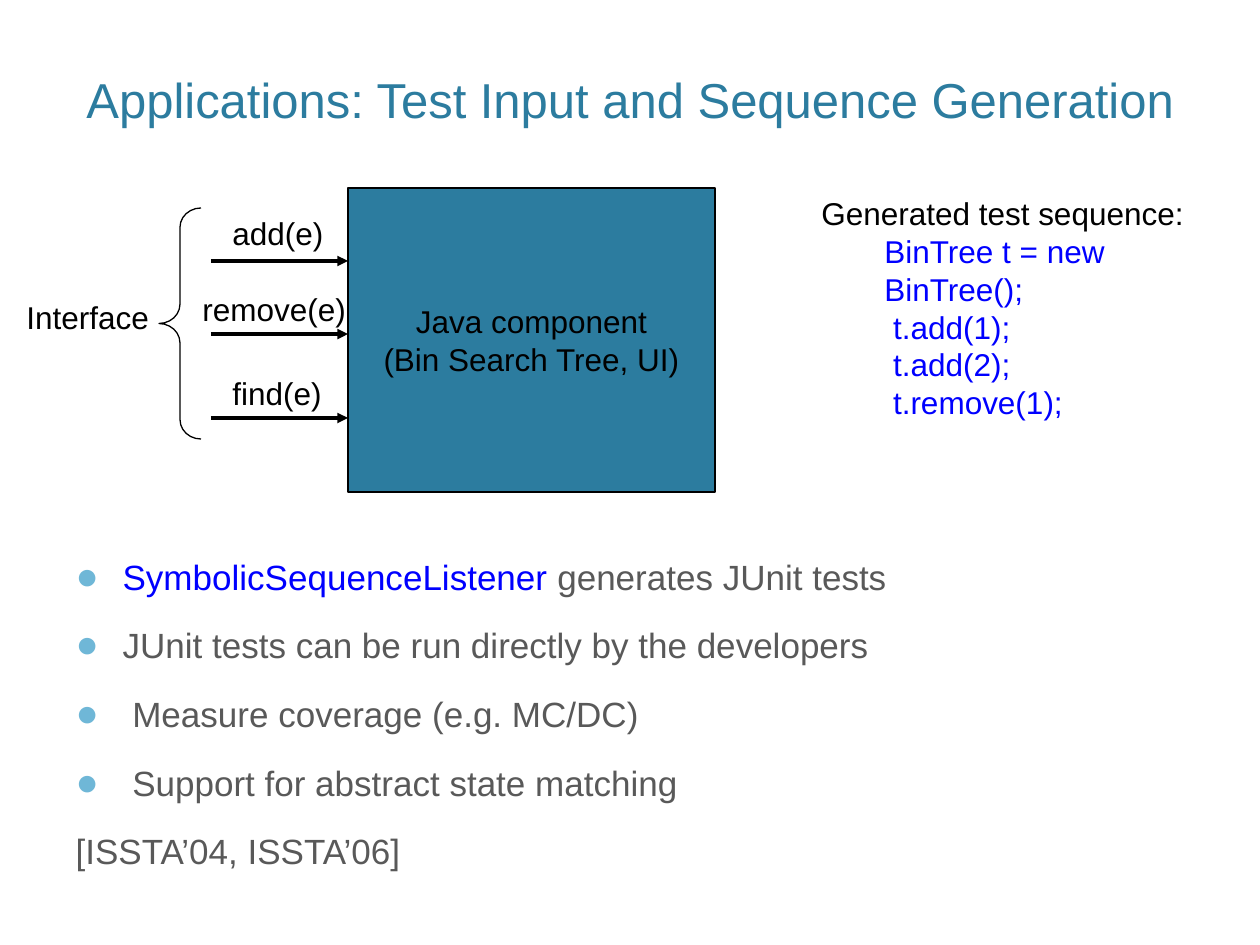
import pptx
import pptx.util
from pptx.dml.color import RGBColor
from pptx.enum.shapes import MSO_CONNECTOR, MSO_SHAPE
from pptx.enum.text import MSO_ANCHOR, MSO_AUTO_SIZE, PP_ALIGN
from pptx.oxml.ns import qn
from lxml import etree

PX = 914400 / 126
FONT = "Arial"
TEAL = RGBColor(0x2C, 0x7C, 0x9F)
SKY = RGBColor(0x6F, 0xB7, 0xD7)
BLACK = RGBColor(0, 0, 0)
BLUE = RGBColor(0, 0, 0xFF)
GRAY = RGBColor(0x59, 0x59, 0x59)

# Content: a paragraph is a list of (text, colour) runs
TITLE = "Applications: Test Input and Sequence Generation"
COMPONENT = ["Java component", "(Bin Search Tree, UI)"]
# label, label left, label top, label width, arrow height on the slide
METHODS = [
    ("add(e)", 220, 208, 116, 261),
    ("remove(e)", 190, 284, 169, 334),
    ("find(e)", 220, 368, 115, 418),
]
SEQUENCE_HEADING = "Generated test sequence:"
SEQUENCE = ["BinTree t = new BinTree();", " t.add(1);", " t.add(2);", " t.remove(1);"]
BULLETS = [
    [("SymbolicSequenceListener ", BLUE), ("generates JUnit tests", GRAY)],
    [("JUnit tests can be run directly by the developers", GRAY)],
    [(" Measure coverage (e.g. MC/DC)", GRAY)],
    [(" Support for abstract state matching", GRAY)],
]
REFERENCE = [("[ISSTA’04, ISSTA’06]", GRAY)]

# Layout in px: left, top, width, height
TITLE_BOX = (0, -23, 1260, 158)
COMPONENT_BOX = (348, 188, 367, 304)
BRACE_BOX = (159, 208, 42, 231)
INTERFACE_BOX = (14, 292, 147, 50)
SEQUENCE_BOX = (809, 188, 441, 239)
BODY_BOX = (63, 557, 1187, 388)
ARROW_LEFT = 211
LABEL_HEIGHT = 50
SEQUENCE_INDENT = 63
BULLET_INDENT = 47


def emu(*lengths):
    return [round(length * PX) for length in lengths]


def place(shape, box):
    shape.left, shape.top, shape.width, shape.height = emu(*box)


def write(shape, paragraphs, size=18, wrap=True, align=PP_ALIGN.LEFT, anchor=MSO_ANCHOR.TOP):
    frame = shape.text_frame
    frame.auto_size = MSO_AUTO_SIZE.NONE
    frame.word_wrap = wrap
    frame.vertical_anchor = anchor
    for number, runs in enumerate(paragraphs):
        paragraph = frame.add_paragraph() if number else frame.paragraphs[0]
        paragraph.alignment = align
        for text, color in runs:
            run = paragraph.add_run()
            run.text = text
            run.font.name = FONT
            run.font.size = pptx.util.Pt(size)
            run.font.color.rgb = color
    return frame.paragraphs


def indent(paragraph, left, first=0):
    properties = paragraph._p.get_or_add_pPr()
    for name, length in zip(("marL", "indent"), emu(left, first)):
        properties.set(name, str(length))
    return properties


def add_bullet(paragraph):
    properties = indent(paragraph, BULLET_INDENT, -BULLET_INDENT)
    color = etree.SubElement(properties, qn("a:buClr"))
    etree.SubElement(color, qn("a:srgbClr"), val=str(SKY))
    etree.SubElement(properties, qn("a:buSzPct"), val="110000")
    etree.SubElement(properties, qn("a:buFont"), typeface=FONT)
    etree.SubElement(properties, qn("a:buChar"), char="●")


def add_label(slide, text, box):
    write(slide.shapes.add_textbox(*emu(*box)), [[(text, BLACK)]], wrap=False)


def add_outlined(slide, kind, box):
    shape = slide.shapes.add_shape(kind, *emu(*box))
    shape.shadow.inherit = False
    shape.line.color.rgb = BLACK
    shape.line.width = pptx.util.Pt(0.75)
    return shape


def add_arrow(slide, left, right, height):
    arrow = slide.shapes.add_connector(MSO_CONNECTOR.STRAIGHT, *emu(left, height, right, height))
    arrow.line.color.rgb = BLACK
    arrow.line.width = pptx.util.Pt(2)
    etree.SubElement(arrow.line._get_or_add_ln(), qn("a:tailEnd"), type="triangle")
    etree.SubElement(arrow._element.spPr, qn("a:effectLst"))


def main():
    presentation = pptx.Presentation()
    presentation.slide_width, presentation.slide_height = emu(1260, 945)
    slide = presentation.slides.add_slide(presentation.slide_layouts[1])

    # Title
    title = slide.shapes.title
    place(title, TITLE_BOX)
    write(title, [[(TITLE, TEAL)]], size=28, align=PP_ALIGN.CENTER, anchor=MSO_ANCHOR.BOTTOM)

    # Component under test
    component = add_outlined(slide, MSO_SHAPE.RECTANGLE, COMPONENT_BOX)
    component.fill.solid()
    component.fill.fore_color.rgb = TEAL
    write(component, [[(line, BLACK)] for line in COMPONENT], wrap=False,
          align=PP_ALIGN.CENTER, anchor=MSO_ANCHOR.MIDDLE)

    # Interface methods with their arrows and brace
    for text, left, top, width, arrow_height in METHODS:
        add_arrow(slide, ARROW_LEFT, COMPONENT_BOX[0], arrow_height)
        add_label(slide, text, (left, top, width, LABEL_HEIGHT))
    brace = add_outlined(slide, MSO_SHAPE.LEFT_BRACE, BRACE_BOX)
    brace.fill.background()
    brace.adjustments[0] = 0.46
    brace.adjustments[1] = 0.5
    add_label(slide, "Interface", INTERFACE_BOX)

    # Generated test sequence
    sequence = slide.shapes.add_textbox(*emu(*SEQUENCE_BOX))
    lines = [[(SEQUENCE_HEADING, BLACK)]] + [[(line, BLUE)] for line in SEQUENCE]
    for paragraph in write(sequence, lines)[1:]:
        paragraph.level = 1
        indent(paragraph, SEQUENCE_INDENT)

    # Bullet list, closed by an unbulleted reference
    body = slide.placeholders[1]
    place(body, BODY_BOX)
    paragraphs = write(body, BULLETS + [REFERENCE], size=20)
    for paragraph in paragraphs:
        paragraph.line_spacing = 0.8
        paragraph.space_before = pptx.util.Pt(20)
    for paragraph in paragraphs[:-1]:
        add_bullet(paragraph)
    etree.SubElement(indent(paragraphs[-1], 0), qn("a:buNone"))

    presentation.save("out.pptx")


if __name__ == "__main__":
    main()
